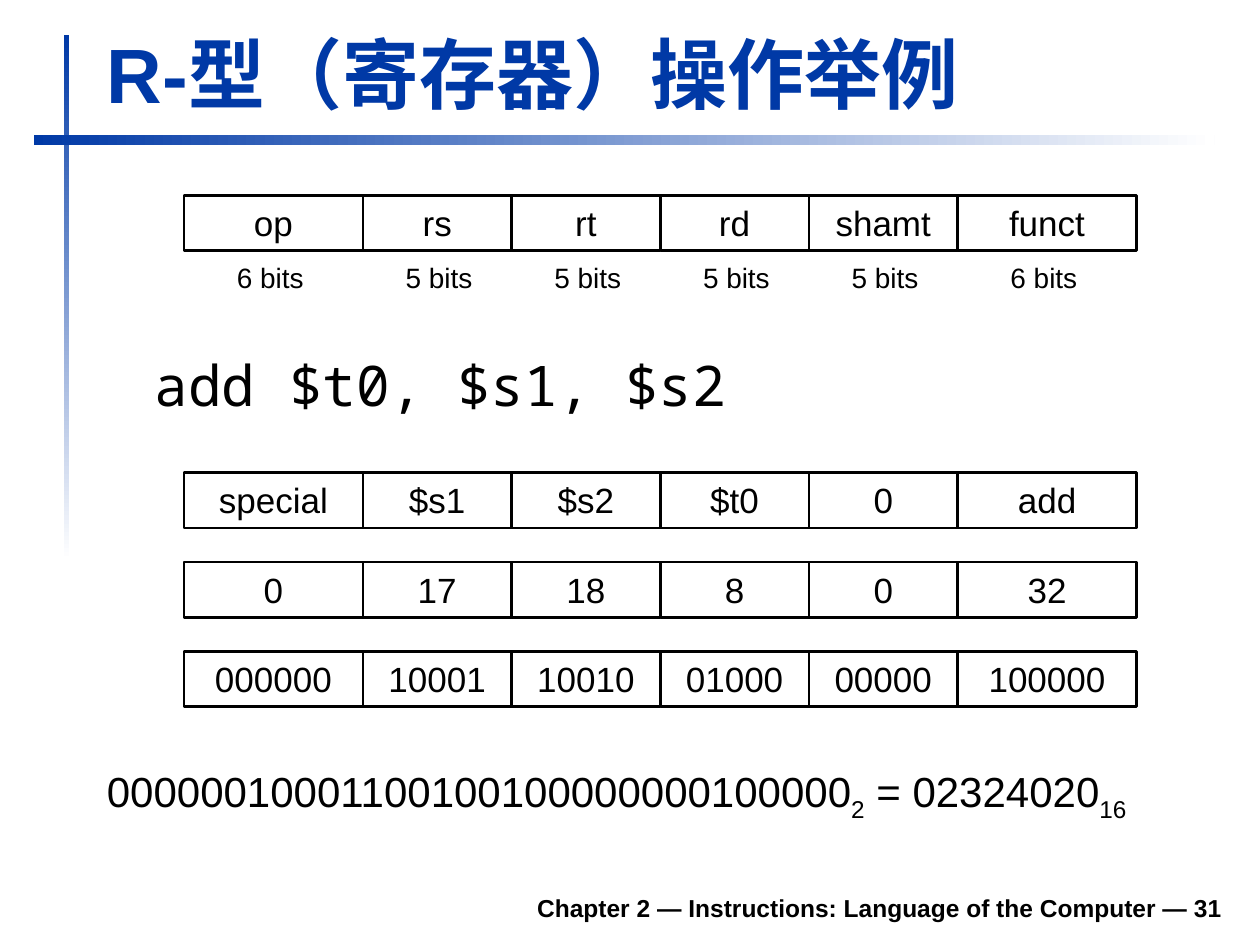
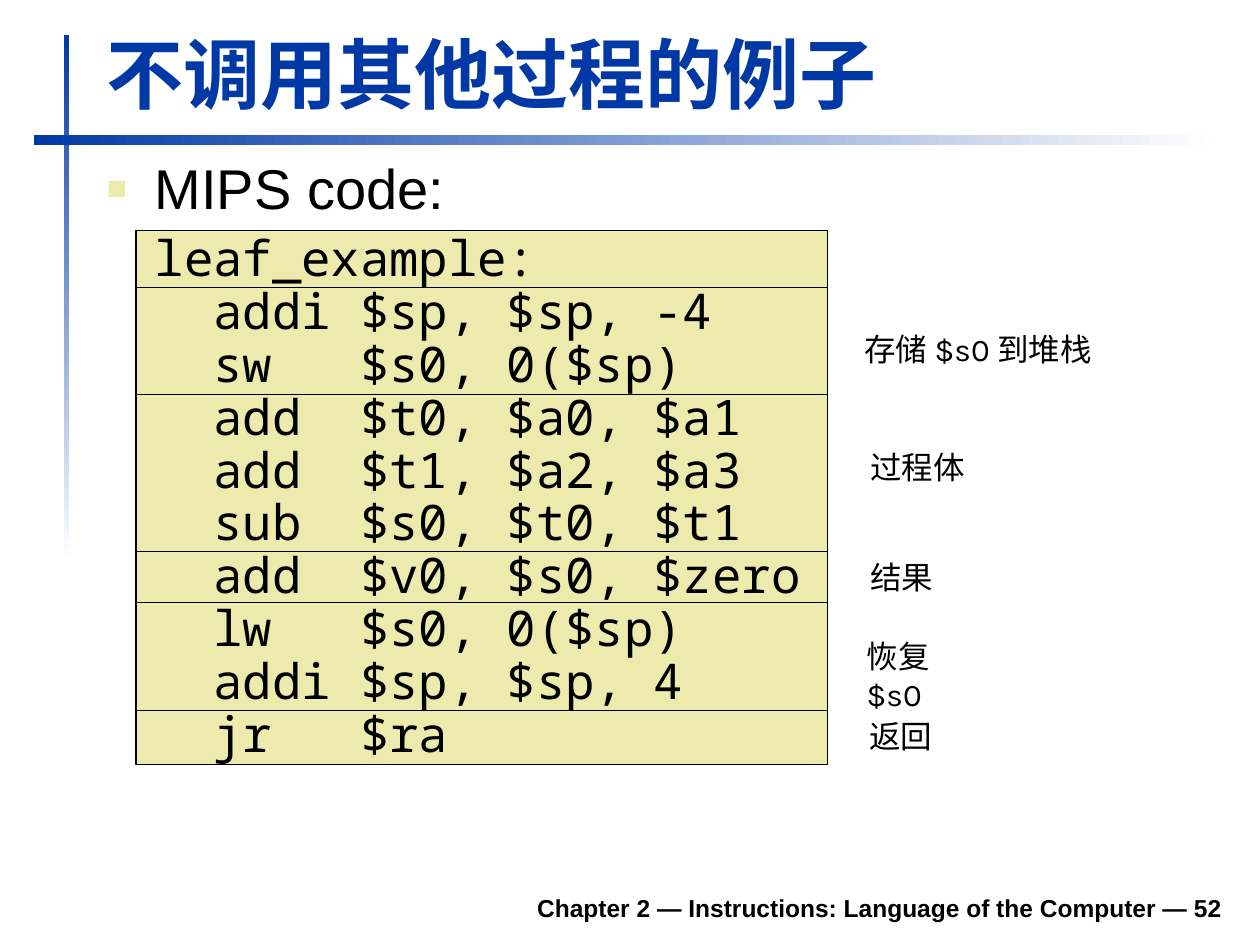
from dataclasses import dataclass
from itertools import accumulate, pairwise

from lxml.etree import SubElement as Sub
from pptx import Presentation
from pptx.dml.color import RGBColor as Rgb
from pptx.enum.shapes import MSO_SHAPE as Kind
from pptx.enum.text import MSO_ANCHOR as Anchor, PP_ALIGN as Align
from pptx.oxml.ns import qn
from pptx.util import Inches, Pt

HUES = {"blue": "0039A6", "white": "FFFFFF", "black": "000000", "sand": "ECEAAC"}
SANS, MONO, NOTE = "Arial", "Noto Sans Mono", "Karla"
FOOT = "Chapter 2 — Instructions: Language of the Computer — "


@dataclass(frozen=True)
class Box:
    left: float
    top: float
    width: float
    height: float

    def place(self) -> tuple:
        return tuple(map(Inches, (self.left, self.top, self.width, self.height)))


@dataclass(frozen=True)
class Band:
    box: Box
    angle: int


@dataclass(frozen=True)
class Note:
    text: str
    box: Box


BANDS = (Band(Box(0.51, 0.28, 0.04, 4.17), 270), Band(Box(0.27, 1.07, 9.37, 0.08), 0))

WIDTHS = (1.42, 1.18, 1.18, 1.18, 1.18, 1.42)
LEFTS = tuple(accumulate(WIDTHS[:-1], initial=1.46))
FIELDS = ("op", "rs", "rt", "rd", "shamt", "funct")
BITS = (6, 5, 5, 5, 5, 6)
CODES = (
    ("special", "$s1", "$s2", "$t0", "0", "add"),
    ("0", "17", "18", "8", "0", "32"),
    ("000000", "10001", "10010", "01000", "00000", "100000"),
)

EDGES = (1.83, 2.28, 3.13, 4.38, 4.78, 5.64, 6.07)
LEAF = """leaf_example:
  addi $sp, $sp, -4
  sw   $s0, 0($sp)
  add  $t0, $a0, $a1
  add  $t1, $a2, $a3
  sub  $s0, $t0, $t1
  add  $v0, $s0, $zero
  lw   $s0, 0($sp)
  addi $sp, $sp, 4
  jr   $ra"""
NOTES = (
    Note("存储 $s0 到堆栈", Box(6.76, 2.57, 2.05, 0.4)),
    Note("过程体", Box(6.81, 3.51, 0.95, 0.4)),
    Note("恢复 $s0", Box(6.78, 5.01, 1, 0.4)),
    Note("结果", Box(6.81, 4.38, 0.7, 0.4)),
    Note("返回", Box(6.8, 5.64, 0.7, 0.4)),
)


def hue(name: str) -> Rgb:
    return Rgb.from_string(HUES[name])


def write(par, text: str, *, size: float, font: str = SANS, color: str = "black",
          bold: bool = False, align=Align.LEFT, base: int = 0) -> None:
    par.alignment = align
    for row, line in enumerate(text.split("\n")):
        if row:
            par.add_line_break()
        run = par.add_run()
        run.text = line
        run.font.size = Pt(size)
        run.font.bold = bold
        run.font.color.rgb = hue(color)
        run.font.name = font
        props = run.font._element
        Sub(props, qn("a:ea")).set("typeface", font)
        if base:
            props.set("baseline", str(base * 1000))


def frame(slide, box: Box, anchor=Anchor.TOP, wrap: bool = True):
    body = slide.shapes.add_textbox(*box.place()).text_frame
    body.word_wrap = wrap
    body.vertical_anchor = anchor
    return body


def rect(slide, box: Box, fill: str = "", line: float = 0):
    shape = slide.shapes.add_shape(Kind.RECTANGLE, *box.place())
    shape.shadow.inherit = False
    if fill:
        shape.fill.solid()
        shape.fill.fore_color.rgb = hue(fill)
    else:
        shape.fill.background()
    if line:
        shape.line.color.rgb = hue("black")
        shape.line.width = Pt(line)
    else:
        shape.line.fill.background()
    return shape


def fade(slide, band: Band) -> None:
    fill = rect(slide, band.box).fill
    fill.gradient()
    fill.gradient_angle = band.angle
    for stop, name, place in zip(fill.gradient_stops, ("blue", "white"), (0, 1)):
        stop.color.rgb = hue(name)
        stop.position = place


def indent(par, bullet: bool = False) -> None:
    props = par._p.get_or_add_pPr()
    step = Inches(0.38)
    props.set("marL", str(step))
    props.set("indent", str(-step if bullet else 0))
    if bullet:
        Sub(Sub(props, qn("a:buClr")), qn("a:srgbClr")).set("val", HUES["sand"])
        Sub(props, qn("a:buSzPct")).set("val", "60000")
        Sub(props, qn("a:buFont")).set("typeface", SANS)
        Sub(props, qn("a:buChar")).set("char", "■")
    else:
        Sub(props, qn("a:buNone"))


def start(deck, title: str, page: int):
    slide = deck.slides.add_slide(deck.slide_layouts[6])
    for band in BANDS:
        fade(slide, band)
    foot = frame(slide, Box(1.85, 6.98, 7.95, 0.39), Anchor.BOTTOM)
    write(foot.paragraphs[0], f"{FOOT}{page}", size=14, bold=True, align=Align.RIGHT)
    head = frame(slide, Box(0.75, 0.15, 9.03, 0.84), Anchor.BOTTOM)
    write(head.paragraphs[0], title, size=44, color="blue", bold=True)
    return slide


def cells(slide, top: float, words: tuple) -> None:
    for left, width, word in zip(LEFTS, WIDTHS, words):
        body = rect(slide, Box(left, top, width, 0.44), line=1.5).text_frame
        body.vertical_anchor = Anchor.TOP
        write(body.paragraphs[0], word, size=20, align=Align.CENTER)


def format_slide(deck) -> None:
    slide = start(deck, "R-型（寄存器）操作举例", 31)
    cells(slide, 1.55, FIELDS)
    for left, count in zip(LEFTS, BITS):
        inset = 0.32 if count == 6 else 0.24
        label = frame(slide, Box(left + inset, 2.02, 0.73, 0.37), wrap=False)
        write(label.paragraphs[0], f"{count} bits", size=16, align=Align.CENTER)
    par = frame(slide, Box(0.75, 2.73, 9.04, 0.71)).paragraphs[0]
    indent(par)
    write(par, "add $t0, $s1, $s2", size=32, font=MONO)
    for row, words in enumerate(CODES):
        cells(slide, 3.75 + 0.71 * row, words)
    par = frame(slide, Box(0.75, 6.03, 8.9, 0.55)).paragraphs[0]
    for digits, radix in (("00000010001100100100000000100000", "2"), (" = 02324020", "16")):
        write(par, digits, size=24)
        write(par, radix, size=24, base=-25)


def leaf_slide(deck) -> None:
    slide = start(deck, "不调用其他过程的例子", 52)
    for top, end in pairwise(EDGES):
        rect(slide, Box(1.08, top, 5.49, end - top), "sand", 0.75)
    body = frame(slide, Box(0.75, 1.23, 9.04, 5.59))
    head, code = body.paragraphs[0], body.add_paragraph()
    indent(head, bullet=True)
    indent(code)
    head.line_spacing = code.line_spacing = 0.9
    code.space_before = Pt(7)
    write(head, "MIPS code:", size=32)
    write(code, LEAF, size=28, font=MONO)
    for note in NOTES:
        write(frame(slide, note.box).paragraphs[0], note.text, size=18, font=NOTE)


def main() -> None:
    deck = Presentation()
    deck.slide_width, deck.slide_height = Inches(10), Inches(7.5)
    format_slide(deck)
    leaf_slide(deck)
    deck.save("out.pptx")


if __name__ == "__main__":
    main()
